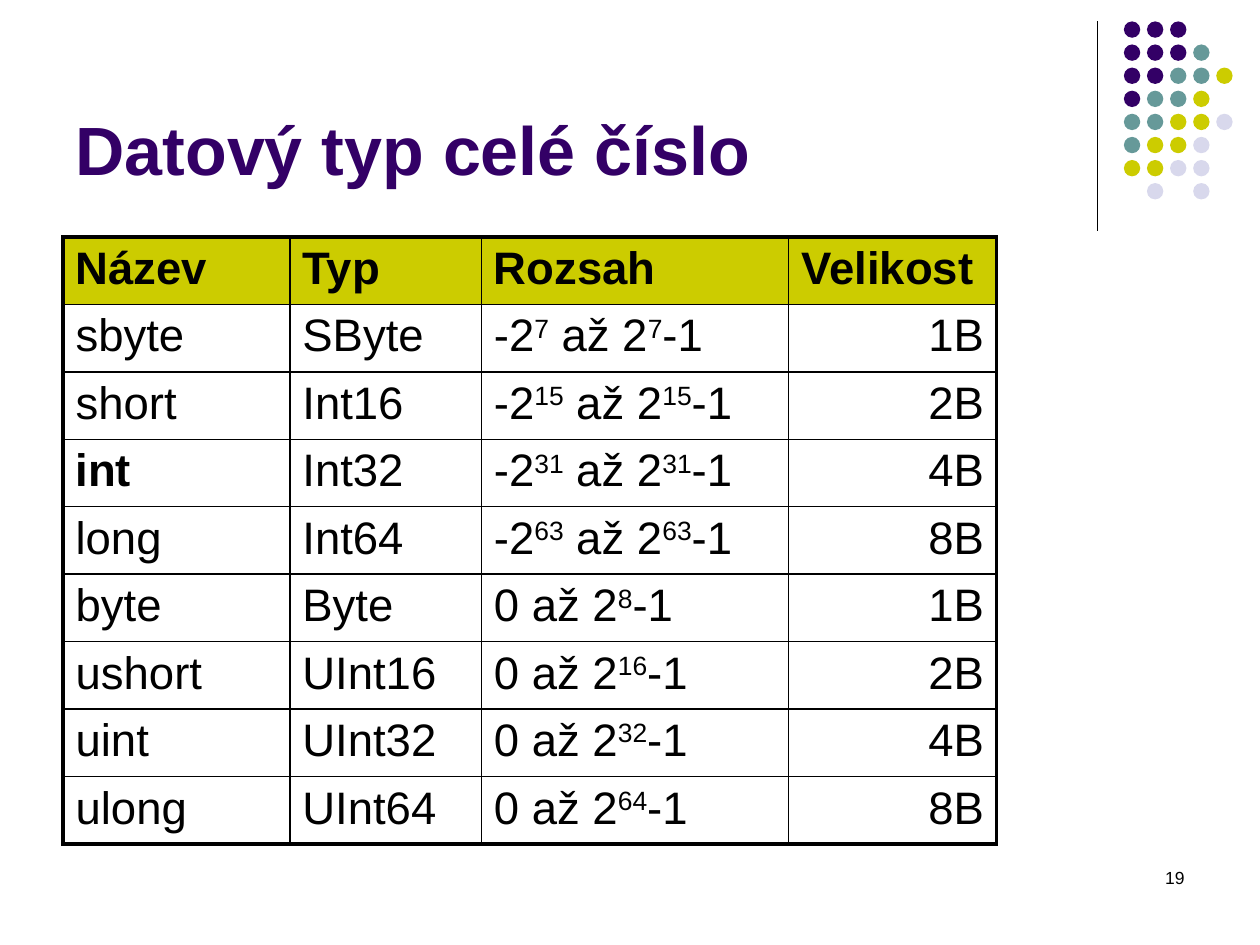
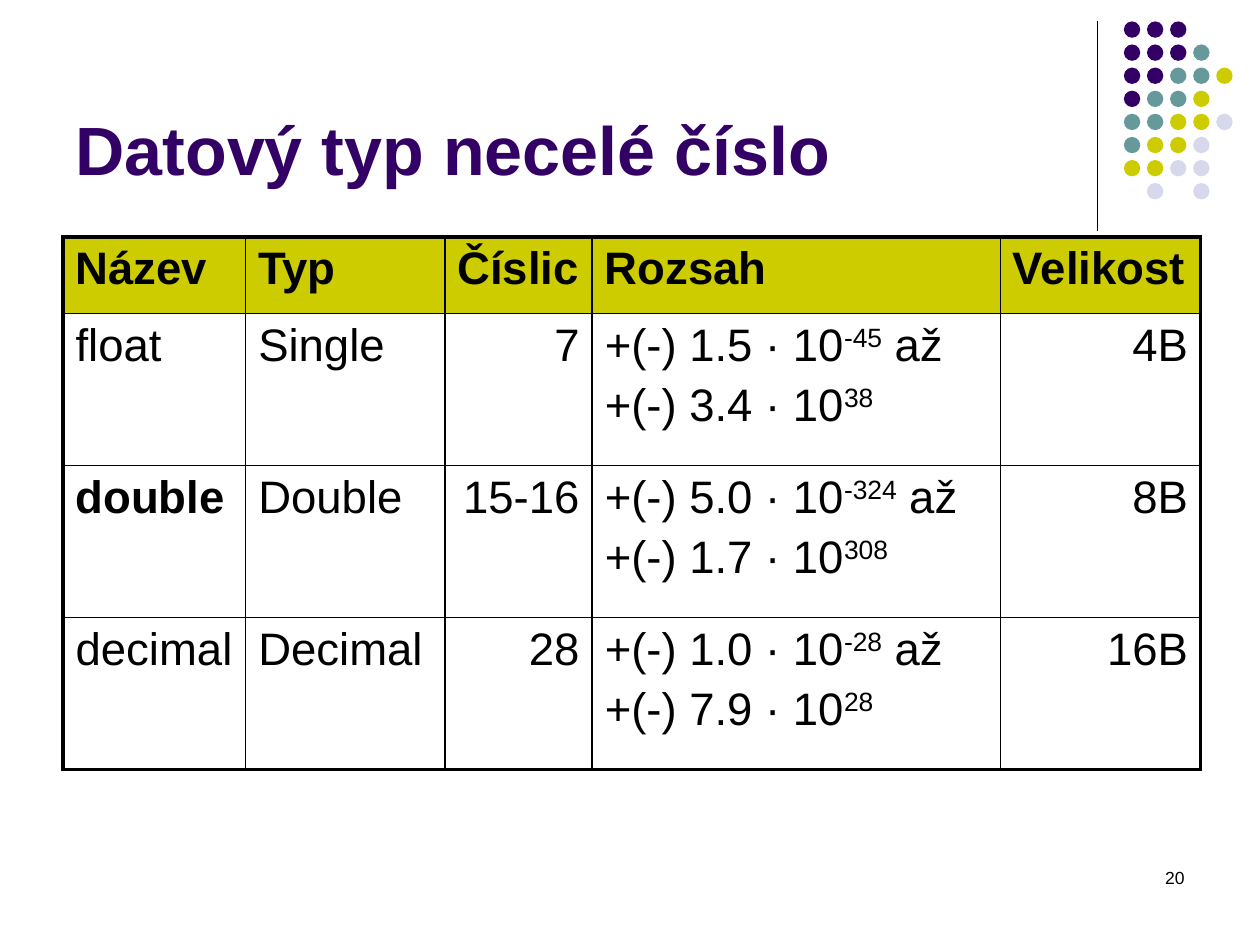
from pptx import Presentation
from pptx import util as u
from pptx.dml.color import RGBColor
from pptx.enum import shapes, text
from pptx.oxml import parse_xml
from pptx.oxml.ns import nsdecls, qn
from lxml import etree

inks = {"plum": "330066", "teal": "669999", "lime": "CCCC00",
        "mist": "D8D8EC", "black": "000000"}
keys = {"p": "plum", "t": "teal", "l": "lime", "m": "mist"}
dots = ["ppp", "pppt", "ppttl", "pttl", "ttllm", "tllm", "llmm", " m m"]
right = text.PP_ALIGN.RIGHT

decks = [
    {"title": "Datový typ celé číslo", "page": "19",
     "cols": [18, 15.2, 24.4, 16.5], "rows": [48.2 / 9] * 9, "ends": [3],
     "cells": [
         ["Název", "Typ", "Rozsah", "Velikost"],
         ["sbyte", "SByte", "-2^7^ až 2^7^-1", "1B"],
         ["short", "Int16", "-2^15^ až 2^15^-1", "2B"],
         ["int", "Int32", "-2^31^ až 2^31^-1", "4B"],
         ["long", "Int64", "-2^63^ až 2^63^-1", "8B"],
         ["byte", "Byte", "0 až 2^8^-1", "1B"],
         ["ushort", "UInt16", "0 až 2^16^-1", "2B"],
         ["uint", "UInt32", "0 až 2^32^-1", "4B"],
         ["ulong", "UInt64", "0 až 2^64^-1", "8B"]]},
    {"title": "Datový typ necelé číslo", "page": "20",
     "cols": [14.5, 15.8, 11.7, 32.4, 15.9], "rows": [6.1] + [36.2 / 3] * 3,
     "ends": [2, 4],
     "cells": [
         ["Název", "Typ", "Číslic", "Rozsah", "Velikost"],
         ["float", "Single", "7",
          "+(-) 1.5 · 10^-45^ až\n+(-) 3.4 · 10^38^", "4B"],
         ["double", "Double", "15-16",
          "+(-) 5.0 · 10^-324^ až\n+(-) 1.7 · 10^308^", "8B"],
         ["decimal", "Decimal", "28",
          "+(-) 1.0 · 10^-28^ až\n+(-) 7.9 · 10^28^", "16B"]]},
]

prs = Presentation()
prs.slide_width, prs.slide_height = u.Inches(10), u.Inches(7.5)
col, row = prs.slide_width / 100, prs.slide_height / 75


def box(left, top, wide, high):
    return int(left * col), int(top * row), int(wide * col), int(high * row)


def write(frame, words, size, ink="black", bold=False, align=None):
    frame.word_wrap = True
    for i, line in enumerate(words.split("\n")):
        para = frame.add_paragraph() if i else frame.paragraphs[0]
        para.alignment = align
        for j, part in enumerate(line.split("^")):
            if not part:
                continue
            run = para.add_run()
            run.text = part
            font = run.font
            font.name, font.size, font.bold = "Arial", u.Pt(size), bold
            font.color.rgb = RGBColor.from_string(inks[ink])
            if j % 2:
                font._element.set("baseline", "30000")


for deck in decks:
    slide = prs.slides.add_slide(prs.slide_layouts[6])
    draw = slide.shapes

    x, top, _, end = box(87.1, 1.7, 0, 18.3)
    rule = draw.add_connector(shapes.MSO_CONNECTOR.STRAIGHT, x, top, x, end)
    rule.line.color.rgb = RGBColor.from_string(inks["black"])
    rule.line.width = u.Pt(0.75)
    etree.SubElement(rule._element.spPr, qn("a:effectLst"))

    for r, line in enumerate(dots):
        for c, key in enumerate(line):
            if key == " ":
                continue
            dot = draw.add_shape(shapes.MSO_SHAPE.OVAL, *box(
                89.2 + c * 11 / 6, 1.7 + r * 11 / 6, 1.3, 1.3))
            dot.shadow.inherit = False
            dot.fill.solid()
            dot.fill.fore_color.rgb = RGBColor.from_string(inks[keys[key]])
            dot.line.fill.background()

    page = draw.add_textbox(*box(71.7, 68.3, 23.3, 5)).text_frame
    write(page, deck["page"], 10, align=right)

    title = draw.add_textbox(*box(5, 1.3, 82.5, 14.2)).text_frame
    title.vertical_anchor = text.MSO_ANCHOR.BOTTOM
    write(title, deck["title"], 39, "plum", True)

    cols, rows = deck["cols"], deck["rows"]
    grid = draw.add_table(len(rows), len(cols),
                          *box(5, 18.8, sum(cols), sum(rows))).table
    grid.first_row = grid.horz_banding = False
    for c, wide in enumerate(cols):
        grid.columns[c].width = int(wide * col)
    for r, high in enumerate(rows):
        grid.rows[r].height = int(high * row)
        for c, words in enumerate(deck["cells"][r]):
            cell = grid.cell(r, c)
            bold = r == 0 or words in ("int", "double")
            align = right if r and c in deck["ends"] else None
            write(cell.text_frame, words, 26, bold=bold, align=align)
            for para in cell.text_frame.paragraphs:
                gap = etree.SubElement(
                    para._p.get_or_add_pPr(), qn("a:spcBef"))
                etree.SubElement(gap, qn("a:spcPct")).set("val", "20000")
            edges = {"L": c == 0, "R": c == len(cols) - 1,
                     "T": r == 0, "B": r == len(rows) - 1}
            for side, outer in edges.items():
                thick = u.Pt(2.25 if outer else 1)
                cell._tc.get_or_add_tcPr().append(parse_xml(
                    f'<a:ln{side} {nsdecls("a")} w="{thick}"><a:solidFill>'
                    f'<a:srgbClr val="{inks["black"]}"/></a:solidFill>'
                    f'</a:ln{side}>'))
            if r == 0:
                cell.fill.solid()
                cell.fill.fore_color.rgb = RGBColor.from_string(inks["lime"])
            else:
                cell.fill.background()

prs.save("out.pptx")
